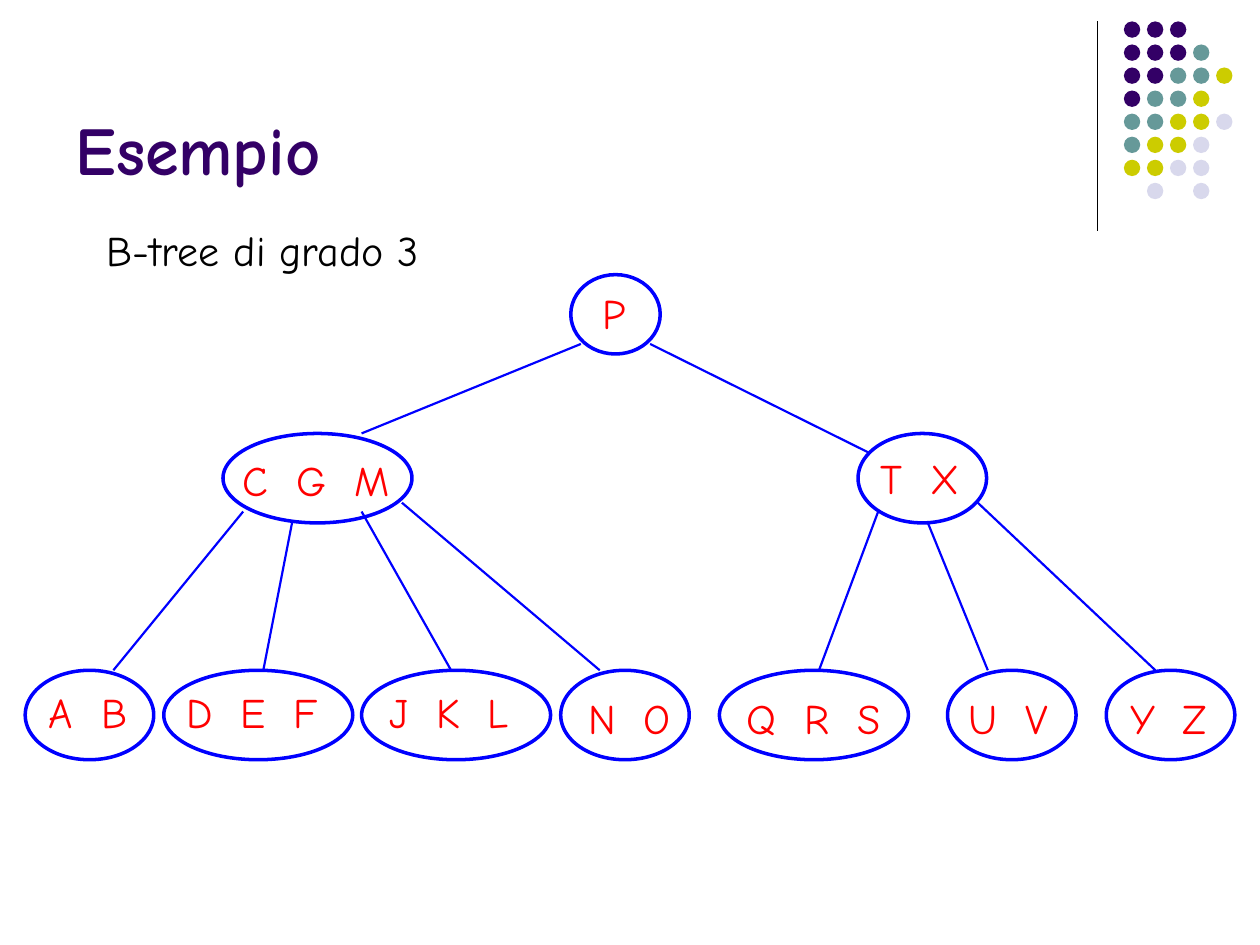
"""Build a slide showing a B-tree of degree 3."""
from lxml import etree
from pptx import Presentation
from pptx.dml.color import RGBColor
from pptx.enum.shapes import MSO_CONNECTOR, MSO_SHAPE
from pptx.enum.text import MSO_ANCHOR, MSO_AUTO_SIZE, PP_ALIGN
from pptx.oxml.ns import qn
from pptx.util import Inches, Pt

OVAL = MSO_SHAPE.OVAL
STRAIGHT = MSO_CONNECTOR.STRAIGHT
BOTTOM = MSO_ANCHOR.BOTTOM
LEFT = PP_ALIGN.LEFT
NO_FIT = MSO_AUTO_SIZE.NONE

COLORS = {
    "purple": "330066",
    "teal": "669999",
    "olive": "CCCC00",
    "lilac": "D8D8EC",
    "blue": "0000FF",
    "red": "FF0000",
    "black": "000000",
    "white": "FFFFFF",
}
FONT = "Comic Neue"
TITLE = {"name": FONT, "size": Pt(39), "bold": True}
BODY = {"name": FONT, "size": Pt(24), "bold": False}

DOT_KEYS = {"p": "purple", "t": "teal", "o": "olive", "l": "lilac"}
DOT_ROWS = ["ppp", "pppt", "pptto", "ptto", "ttool", "tool", "ooll", " l l"]
DOT_PITCH = 0.183
DOT_SIZE = 0.13

LEVEL_TOPS = {"root": 2.18, "inner": 3.44, "leaf": 5.32}
NODE_SIZES = {1: (0.71, 0.63), 2: (1.02, 0.71), 3: (1.5, 0.71)}
KEY_SPACING = 400

# level, keys, oval left, label left, label top, label width
NODES = [
    ("root", "P", 4.53, 4.68, 2.23, 0.38),
    ("inner", "C G M", 1.77, 1.83, 3.56, 1.37),
    ("inner", "T X", 6.81, 6.89, 3.54, 0.82),
    ("leaf", "A B", 0.2, 0.29, 5.4, 0.82),
    ("leaf", "D E F", 1.3, 1.38, 5.4, 1.25),
    ("leaf", "J K L", 2.87, 2.99, 5.4, 1.15),
    ("leaf", "N O", 4.45, 4.57, 5.45, 0.85),
    ("leaf", "Q R S", 5.71, 5.83, 5.45, 1.26),
    ("leaf", "U V", 7.52, 7.59, 5.45, 0.83),
    ("leaf", "Y Z", 8.78, 8.87, 5.45, 0.81),
]
EDGES = [
    (4.61, 2.73, 2.87, 3.44),
    (5.16, 2.73, 6.89, 3.59),
    (1.93, 4.06, 0.9, 5.32),
    (2.32, 4.14, 2.09, 5.32),
    (2.87, 4.06, 3.58, 5.32),
    (3.19, 3.99, 4.76, 5.32),
    (6.97, 4.06, 6.5, 5.32),
    (7.36, 4.14, 7.84, 5.32),
    (7.76, 3.99, 9.17, 5.32),
]


def rgb(name):
    """Return the named colour."""
    return RGBColor.from_string(COLORS[name])


def write(tf, text, fmt, color):
    """Put one formatted run in a text frame and return it."""
    p = tf.paragraphs[0]
    p.alignment = LEFT
    r = p.add_run()
    r.text = text
    for key, value in fmt.items():
        setattr(r.font, key, value)
    r.font.color.rgb = rgb(color)
    return r


def add_title(s, text):
    """Fill and place the title placeholder."""
    sp = s.shapes.title
    box = {"left": 0.5, "top": 0.13, "width": 8.25, "height": 1.42}
    for key, value in box.items():
        setattr(sp, key, Inches(value))
    tf = sp.text_frame
    tf.auto_size = NO_FIT
    tf.vertical_anchor = BOTTOM
    write(tf, text, TITLE, "purple")


def add_label(s, text, left, top, width, color):
    """Add a one-line text box and return its run."""
    sp = s.shapes.add_textbox(Inches(left), Inches(top), Inches(width), Inches(0.5))
    tf = sp.text_frame
    tf.word_wrap = True
    tf.auto_size = NO_FIT
    tf.margin_right = 0
    return write(tf, text, BODY, color)


def add_oval(s, left, top, width, height, fill, line=None):
    """Add a filled oval, outlined when a line colour is given."""
    sp = s.shapes.add_shape(OVAL, Inches(left), Inches(top), Inches(width), Inches(height))
    sp.shadow.inherit = False
    sp.fill.solid()
    sp.fill.fore_color.rgb = rgb(fill)
    if line:
        sp.line.color.rgb = rgb(line)
        sp.line.width = Pt(2)
    else:
        sp.line.fill.background()


def add_line(s, x1, y1, x2, y2, color, width):
    """Add a straight connector without shadow."""
    cxn = s.shapes.add_connector(STRAIGHT, Inches(x1), Inches(y1), Inches(x2), Inches(y2))
    cxn.line.color.rgb = rgb(color)
    cxn.line.width = Pt(width)
    etree.SubElement(cxn._element.spPr, qn("a:effectLst"))


def add_dots(s):
    """Add the grid of coloured dots."""
    for row, keys in enumerate(DOT_ROWS):
        for col, key in enumerate(keys):
            if key in DOT_KEYS:
                add_oval(s, 8.92 + col * DOT_PITCH, 0.17 + row * DOT_PITCH,
                         DOT_SIZE, DOT_SIZE, DOT_KEYS[key])


def add_node(s, level, keys, left, text_left, text_top, text_width):
    """Add a tree node with its spaced keys."""
    width, height = NODE_SIZES[len(keys.split())]
    add_oval(s, left, LEVEL_TOPS[level], width, height, "white", "blue")
    r = add_label(s, keys, text_left, text_top, text_width, "red")
    if " " in keys:
        r.font._element.set("spc", str(KEY_SPACING))


def main():
    """Build and save the slide."""
    prs = Presentation()
    prs.slide_width = Inches(10)
    prs.slide_height = Inches(7.5)
    s = prs.slides.add_slide(prs.slide_layouts[5])
    add_line(s, 8.71, 0.17, 8.71, 1.83, "black", 0.75)
    add_dots(s)
    add_title(s, "Esempio")
    for node in NODES:
        add_node(s, *node)
    for edge in EDGES:
        add_line(s, *edge, "blue", 1.25)
    add_label(s, "B-tree di grado 3", 0.75, 1.73, 2.69, "black")
    prs.save("out.pptx")


if __name__ == "__main__":
    main()
